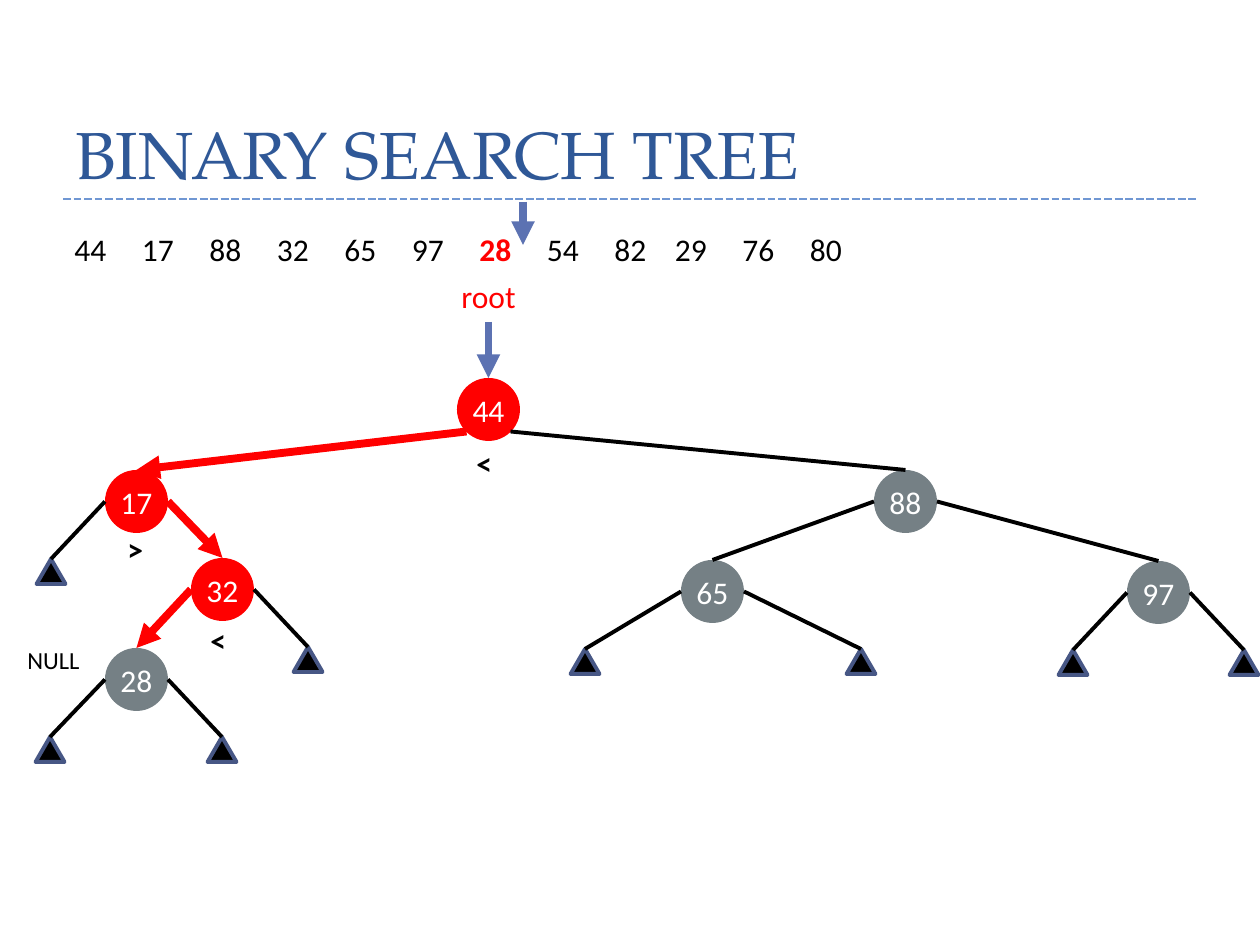
"""Build a slide showing the insertion of 28 into a binary search tree."""
from lxml import etree
from pptx import Presentation
from pptx import util as u
from pptx.dml.color import RGBColor
from pptx.enum import dml, shapes, text
from pptx.oxml.ns import qn

PX = 914400 / 126
SIZE, DROP = 63, 89
LEAF_W, LEAF_H = 29, 25
BLACK, RED, GREY, WHITE, ARROW = "000000", "FF0000", "758085", "FFFFFF", "5C72B2"


def px(*values):
    return [u.Emu(round(v * PX)) for v in values]


def rgb(value):
    return RGBColor.from_string(value)


prs = Presentation()
prs.slide_width, prs.slide_height = px(1260, 945)
s = prs.slides.add_slide(prs.slide_layouts[6])

labels = [
    ("BINARY SEARCH TREE", 63, -21, 1134, 220, 38, "2F5897", False),
    ("root", 449, 271, 81, 50, 18, RED, False),
    ("<", 464, 438, 47, 50, 18, BLACK, True),
    (">", 115, 524, 47, 50, 18, BLACK, True),
    ("<", 198, 615, 47, 50, 18, BLACK, True),
    ("NULL", 15, 639, 98, 43, 14, BLACK, False),
    ("44\t17\t88\t32\t65\t97\t28\t54\t82\t29\t76\t80", 62, 224, 854, 50, 18, BLACK, False),
]
for label, x, y, w, h, size, color, bold in labels:
    tf = s.shapes.add_textbox(*px(x, y, w, h)).text_frame
    tf.word_wrap = size == 38
    p = tf.paragraphs[0]
    if size == 38:
        tf.vertical_anchor = text.MSO_ANCHOR.BOTTOM
        p.line_spacing = u.Pt(58)
    parts = label.partition("28")
    for part in filter(None, parts):
        r = p.add_run()
        r.text = part
        r.font.name = "TeX Gyre Pagella" if size == 38 else "Calibri"
        r.font.size = u.Pt(size)
        r.font.bold = bold or part == "28"
        r.font.color.rgb = rgb(RED if part == "28" else color)

tabs = etree.SubElement(p._p.get_or_add_pPr(), qn("a:tabLst"))
for i in range(1, 12):
    stop = px(i * 67.5 - (7 if i > 8 else 0))[0]
    etree.SubElement(tabs, qn("a:tab"), pos=str(stop), algn="l")

nodes = {}
for key, x, y, color in [
    ("44", 457, 378, RED), ("17", 105, 470, RED), ("88", 874, 470, GREY),
    ("32", 191, 558, RED), ("65", 681, 560, GREY), ("97", 1127, 561, GREY),
    ("28", 105, 648, GREY),
]:
    sp = s.shapes.add_shape(shapes.MSO_SHAPE.OVAL, *px(x, y, SIZE, SIZE))
    sp.shadow.inherit = False
    sp.fill.solid()
    sp.fill.fore_color.rgb = rgb(color)
    sp.line.fill.background()
    tf = sp.text_frame
    tf.margin_left = tf.margin_right = tf.margin_top = tf.margin_bottom = 0
    tf.word_wrap = False
    tf.vertical_anchor = text.MSO_ANCHOR.MIDDLE
    p = tf.paragraphs[0]
    p.text = key
    p.alignment = text.PP_ALIGN.CENTER
    f = p.runs[0].font
    f.name, f.size, f.color.rgb = "Calibri", u.Pt(18), rgb(WHITE)
    nodes[key] = sp, x + SIZE / 2, y + SIZE / 2

edges = [
    ("44", 1, "88", BLACK), ("88", -1, "65", BLACK), ("88", 1, "97", BLACK),
    ("44", -1, "17", RED), ("17", 1, "32", RED), ("32", -1, "28", RED),
]
links = [(parent, side, nodes[child][0], color) for parent, side, child, color in edges]

for parent, side, x in [
    ("17", -1, 51), ("32", 1, 308), ("65", -1, 585), ("65", 1, 861),
    ("97", -1, 1073), ("97", 1, 1244), ("28", -1, 50), ("28", 1, 222),
]:
    top = nodes[parent][2] - SIZE / 2 + DROP
    sp = s.shapes.add_shape(shapes.MSO_SHAPE.ISOSCELES_TRIANGLE,
                            *px(x - LEAF_W / 2, top, LEAF_W, LEAF_H))
    sp.shadow.inherit = False
    sp.fill.solid()
    sp.fill.fore_color.rgb = rgb(BLACK)
    sp.line.color.rgb = rgb("475785")
    sp.line.width = u.Pt(2.25)
    links.append((parent, side, sp, BLACK))

lines = [
    (63, 199, 1197, 199, "7097D3", 1.5, None),
    (523, 202, 523, 245, ARROW, 4.5, None),
    (488.5, 322, 488.5, 378, ARROW, 4.5, nodes["44"][0]),
]
for parent, side, child, color in links:
    _, x, y = nodes[parent]
    dx, dy = (22, 22) if parent == "44" else (SIZE / 2, 0)
    x, y = x + side * dx, y + dy
    lines.append((x, y, x, y, color, 4.5 if color == RED else 2.25, child))

for x1, y1, x2, y2, color, width, target in lines:
    c = s.shapes.add_connector(shapes.MSO_CONNECTOR.STRAIGHT, *px(x1, y1, x2, y2))
    if target:
        c.end_connect(target, 0)
    c.line.color.rgb = rgb(color)
    c.line.width = u.Pt(width)
    if width == 1.5:
        c.line.dash_style = dml.MSO_LINE.SQUARE_DOT
    if width == 4.5:
        etree.SubElement(c.line._get_or_add_ln(), qn("a:tailEnd"), type="triangle")
    etree.SubElement(c._element.spPr, qn("a:effectLst"))

prs.save("out.pptx")
